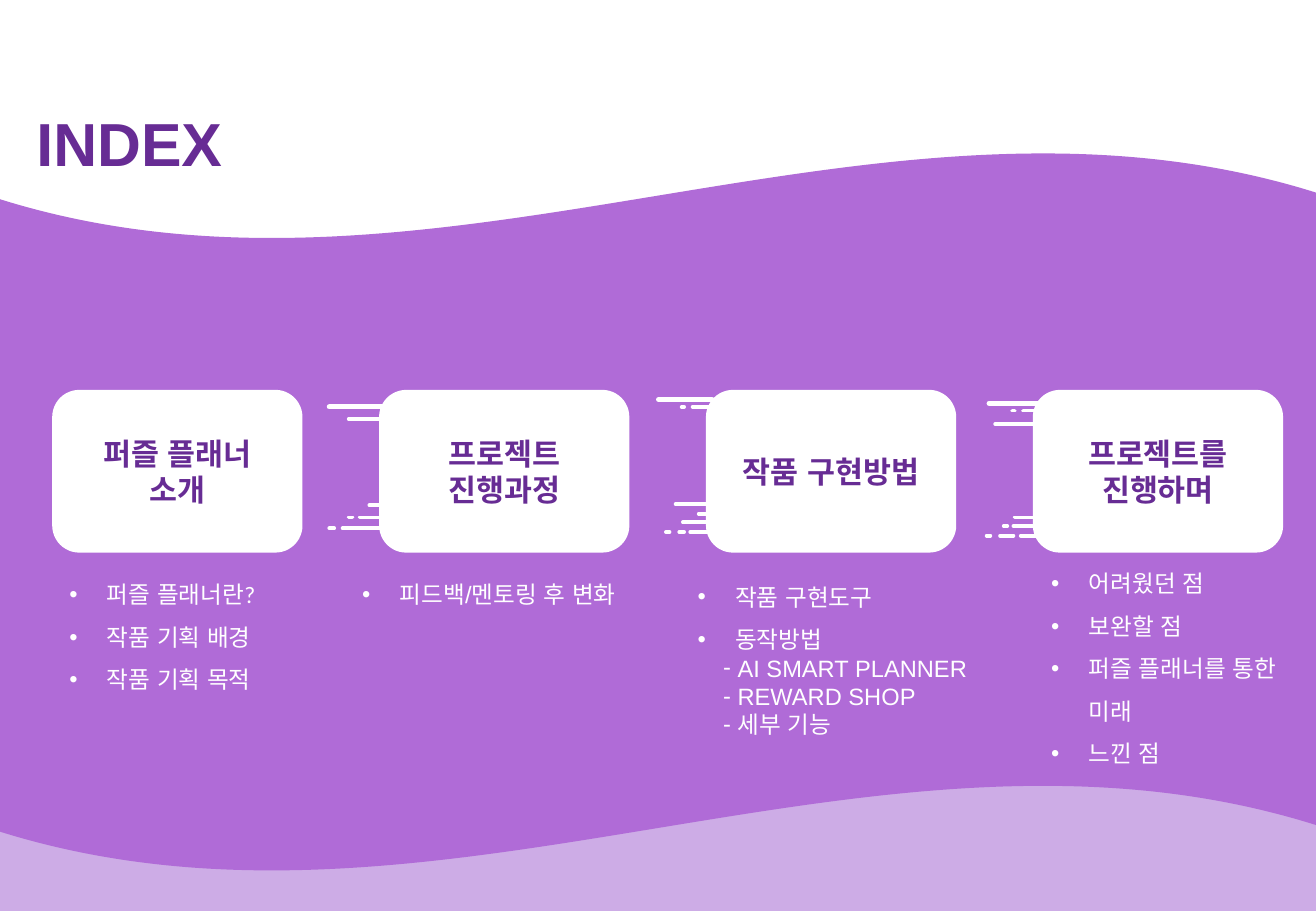
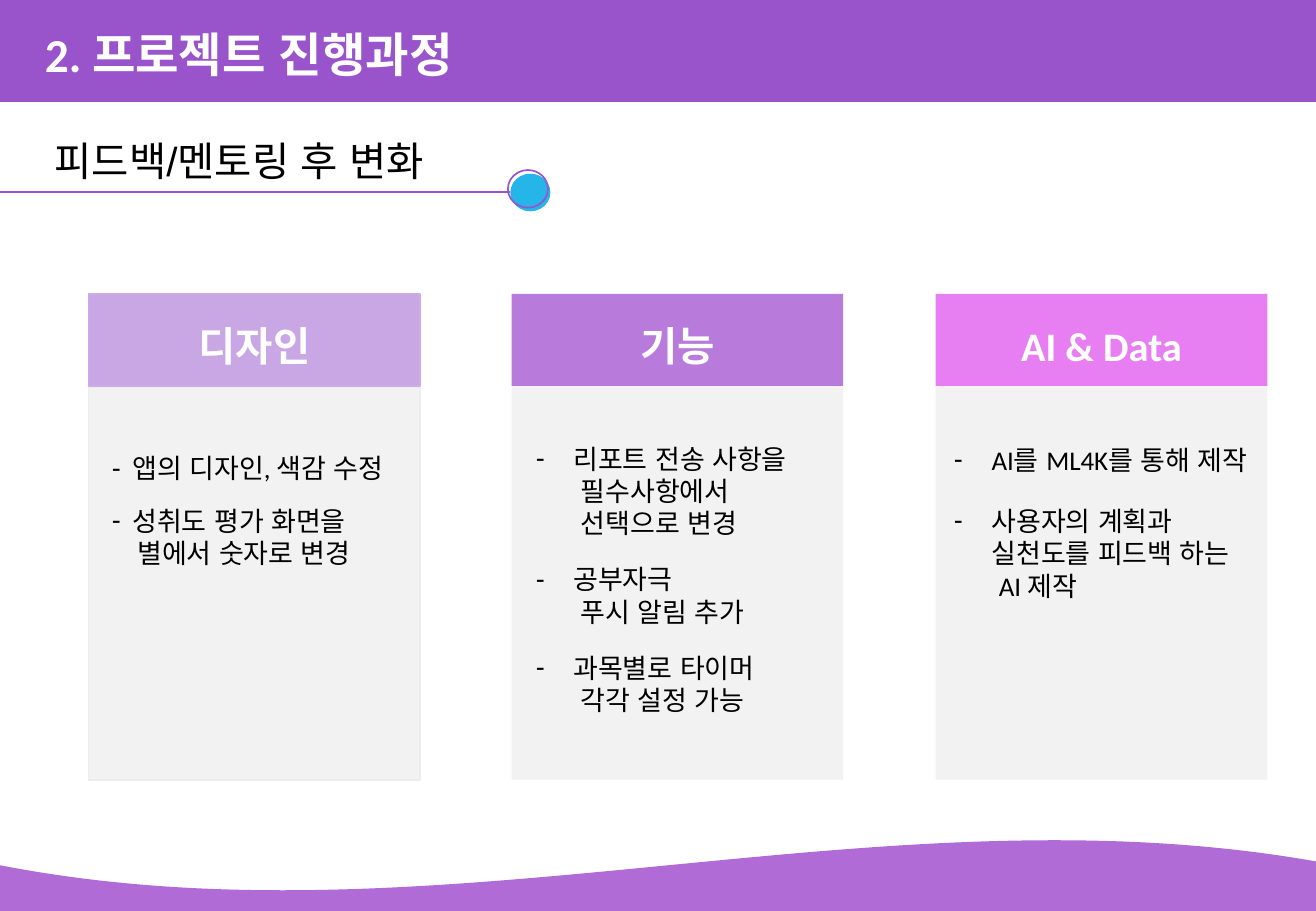
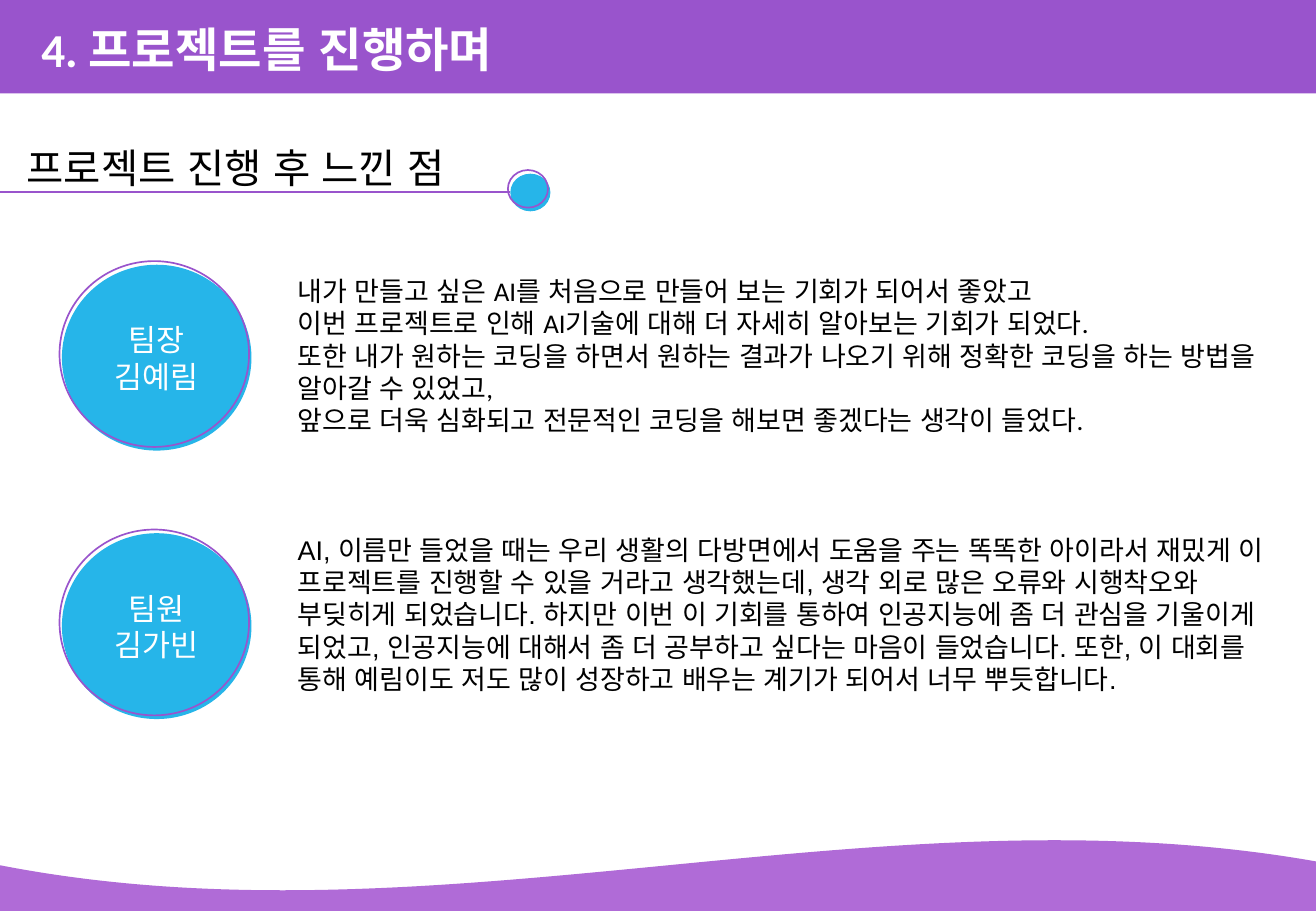
from pptx import Presentation
from pptx import util as u
from pptx.dml.color import RGBColor
from pptx.enum import lang, shapes, text
from pptx.oxml.ns import qn
from lxml import etree

PX = 9144  # 100 px to the inch
W, H = 1083, 750
COLORS = {
    "band": "9954CC", "wave": "B06BD7", "pale": "CDACE6", "ink": "672C94",
    "white": "FFFFFF", "black": "000000", "blue": "26B5E9",
    "panel": "F2F2F2", "edge": "EDEDED",
    "lilac": "C9A6E4", "violet": "B97BDB", "pink": "E77EF2",
}
# Paragraph kinds: bullet, left indent, hanging indent, line spacing
KINDS = {
    "plain": (None, 0, 0, 1), "point": ("•", 31, 31, 1.5),
    "sub": ("-", 33, 12, 1), "dash": ("-", 31, 31, 1),
    "more": (None, 37, 0, 1), "tight": ("-", 17, 17, 1),
    "tight more": (None, 21, 0, 1),
}
RECT = shapes.MSO_SHAPE.RECTANGLE
OVAL = shapes.MSO_SHAPE.OVAL


def rgb(name):
    return RGBColor.from_string(COLORS[name])


class Deck:
    def __init__(self):
        self.prs = Presentation()
        self.prs.slide_width, self.prs.slide_height = W * PX, H * PX

    def new_slide(self):
        self.s = self.prs.slides.add_slide(self.prs.slide_layouts[4])
        self.bodies = [sp for sp in self.s.placeholders
                       if sp.placeholder_format.idx]

    def drop_unused(self):
        for sp in self.bodies:
            sp.element.getparent().remove(sp.element)

    def shape(self, kind, box, fill=None, line=None):
        sp = self.s.shapes.add_shape(kind, *[v * PX for v in box])
        sp.shadow.inherit = False
        if fill:
            sp.fill.solid()
            sp.fill.fore_color.rgb = rgb(fill)
        else:
            sp.fill.background()
        if line:
            sp.line.color.rgb, sp.line.width = rgb(line), u.Pt(1)
        else:
            sp.line.fill.background()
        return sp

    def wave(self, box, bend):
        sp = self.shape(shapes.MSO_SHAPE.WAVE, box, "wave")
        sp.adjustments[0], sp.adjustments[1] = bend, 0
        sp.element.spPr.find(qn("a:xfrm")).set("flipH", "1")

    def line(self, x1, x2, y, color, width, cap="flat"):
        c = self.s.shapes.add_connector(
            shapes.MSO_CONNECTOR.STRAIGHT, x1 * PX, y * PX, x2 * PX, y * PX)
        c.line.color.rgb, c.line.width = rgb(color), u.Pt(width)
        c.element.spPr.find(qn("a:ln")).set("cap", cap)
        etree.SubElement(c.element.spPr, qn("a:effectLst"))

    def paragraphs(self, tf, items, size, color, font="Calibri", bold=False,
                   align=text.PP_ALIGN.LEFT, gap=0):
        """Fill a frame with (kind, text) items; gap precedes each bullet."""
        tf.word_wrap = True
        for i, (kind, words) in enumerate(items):
            p = tf.add_paragraph() if i else tf.paragraphs[0]
            bullet, left, hang, spacing = KINDS[kind]
            pPr = p._p.get_or_add_pPr()
            pPr.set("marL", str(left * PX))
            pPr.set("indent", str(-hang * PX))
            if bullet:
                etree.SubElement(pPr, qn("a:buFont")).set("typeface", "Arial")
                etree.SubElement(pPr, qn("a:buChar")).set("char", bullet)
            else:
                etree.SubElement(pPr, qn("a:buNone"))
            p.alignment, p.line_spacing = align, spacing
            p.space_before = u.Pt(gap if i and bullet else 0)
            p.space_after = u.Pt(0)
            r = p.add_run()
            r.text = words
            f = r.font
            f.name, f.size, f.bold = font, u.Pt(size), bold
            f.color.rgb = rgb(color)
            f.language_id = lang.MSO_LANGUAGE_ID.KOREAN

    def label(self, sp, lines, size, color, bold=False):
        sp.text_frame.vertical_anchor = text.MSO_ANCHOR.MIDDLE
        self.paragraphs(sp.text_frame, [("plain", t) for t in lines], size,
                        color, bold=bold, align=text.PP_ALIGN.CENTER)

    def place(self, sp, box, items, size, color, **style):
        sp.left, sp.top, sp.width, sp.height = [v * PX for v in box]
        sp.element.getparent().append(sp.element)  # bring to front
        tf = sp.text_frame
        tf.vertical_anchor = text.MSO_ANCHOR.TOP
        tf.auto_size = text.MSO_AUTO_SIZE.NONE
        self.paragraphs(tf, items, size, color, **style)

    def title(self, box, words, size, color, font="Calibri"):
        self.place(self.s.shapes.title, box, [("plain", words)], size, color,
                   font=font, bold=True)

    def body(self, box, items, size, color, **style):
        self.place(self.bodies.pop(0), box, items, size, color, **style)

    def disc(self, x, y, w, h):
        """Blue disc with a slightly offset ring."""
        sp = self.shape(OVAL, (x, y, w, h), "blue")
        self.shape(OVAL, (x - 2, y - 3, w, h), line="band")
        return sp

    def section(self, band_h, title, title_at, subtitle, subtitle_at):
        """Content slide with title band, underlined subtitle and wave."""
        self.new_slide()
        self.shape(RECT, (0, 0, W, band_h), "band")
        self.title((*title_at, 700, 57), title, 28, "white")
        self.body((*subtitle_at, 424, 50), [("plain", subtitle)], 24, "black",
                  font="Arial")
        self.line(0, 420, 158, "band", 1.5)
        self.disc(420, 143, 33, 31)
        self.wave((0, 691, 1100, 107), 0.2)


def index_slide(d):
    d.new_slide()
    d.shape(RECT, (0, 277, W, H - 277), "pale")
    d.wave((-9, 125, 1100, 593), 0.061)
    d.title((20, 82, 300, 71), "INDEX", 36, "ink", "Arial")

    # Cards, each with its list: heading, list box, font, items
    cards = [
        (["퍼즐 플래너 소개"], (47, 461, 200, 183), "Calibri",
         [("point", "퍼즐 플래너란?"), ("point", "작품 기획 배경"),
          ("point", "작품 기획 목적")]),
        (["프로젝트 진행과정"], (288, 461, 263, 41), "Arial",
         [("point", "피드백/멘토링 후 변화")]),
        (["작품 구현방법"], (564, 463, 256, 151), "Arial",
         [("point", "작품 구현도구"), ("point", "동작방법"),
          ("sub", "AI SMART PLANNER"), ("sub", "REWARD SHOP"),
          ("sub", "세부 기능")]),
        (["프로젝트를", "진행하며"], (855, 452, 213, 182), "Arial",
         [("point", "어려웠던 점"), ("point", "보완할 점"),
          ("point", "퍼즐 플래너를 통한 미래"), ("point", "느낀 점")]),
    ]
    for i, (heading, box, font, items) in enumerate(cards):
        sp = d.shape(shapes.MSO_SHAPE.ROUNDED_RECTANGLE,
                     (43 + 269 * i, 321, 206, 134), "white")
        d.label(sp, heading, 18, "ink", bold=True)
        d.body(box, items, 14, "white", font=font)

    # Speed lines left of the cards; the first of each group is thicker
    groups = [
        [(271, 315, 335), (287, 331, 345), (304, 331, 416), (296, 323, 426),
         (282, 331, 435), (271, 275, 435), (287, 290, 426)],
        [(542, 586, 329), (570, 614, 335), (575, 602, 423), (562, 589, 430),
         (568, 617, 438), (559, 563, 438), (548, 551, 438), (556, 590, 415),
         (561, 563, 335)],
        [(814, 858, 332), (842, 886, 338), (835, 874, 426), (834, 861, 433),
         (840, 889, 441), (826, 829, 433), (812, 815, 441), (819, 852, 349),
         (833, 835, 338), (823, 834, 441)],
    ]
    for group in groups:
        for i, (x1, x2, y) in enumerate(group):
            d.line(x1, x2, y, "white", 2.25 if i else 3, "rnd")
    d.drop_unused()


def progress_slide(d):
    d.section(84, "2. 프로젝트 진행과정", (27, 16),
              "피드백/멘토링 후 변화", (35, 107))
    # Columns: heading, colour, outlines, list box, gap, items
    columns = [
        ("디자인", "lilac", ("pale", "edge"), (82, 367, 262, 200), 12,
         [("tight", "앱의 디자인, 색감 수정"), ("tight", "성취도 평가 화면을"),
          ("tight more", "별에서 숫자로 변경")]),
        ("기능", "violet", (None, None), (431, 359, 254, 260), 14,
         [("dash", "리포트 전송 사항을"), ("more", "필수사항에서"),
          ("more", "선택으로 변경"), ("dash", "공부자극"),
          ("more", "푸시 알림 추가"), ("dash", "과목별로 타이머"),
          ("more", "각각 설정 가능")]),
        ("AI & Data", "pink", (None, None), (775, 360, 263, 200), 17,
         [("dash", "AI를 ML4K를 통해 제작"),
          ("dash", "사용자의 계획과 실천도를 피드백 하는"),
          ("more", "AI 제작")]),
    ]
    for i, (heading, fill, edges, box, gap, items) in enumerate(columns):
        x = 73 + round(348.5 * i)
        head = d.shape(RECT, (x, 242, 273, 76), fill, edges[0])
        head.text_frame.margin_top = 13 * PX
        d.label(head, [heading], 24, "white", bold=True)
        d.shape(RECT, (x, 319, 273, 323), "panel", edges[1])
        d.body(box, items, 16, "black", gap=gap)
    d.drop_unused()


def reflection_slide(d):
    d.section(77, "4. 프로젝트를 진행하며", (24, 12),
              "프로젝트 진행 후 느낀 점", (12, 113))
    # Members: role and name, font, paragraphs
    members = [
        (["팀장", "김예림"], "Calibri", [
            "내가 만들고 싶은 AI를 처음으로 만들어 보는 기회가 되어서 좋았고",
            "이번 프로젝트로 인해 AI기술에 대해 더 자세히 알아보는 기회가 되었다.",
            "또한 내가 원하는 코딩을 하면서 원하는 결과가 나오기 위해 정확한 "
            "코딩을 하는 방법을 알아갈 수 있었고,",
            "앞으로 더욱 심화되고 전문적인 코딩을 해보면 좋겠다는 생각이 들었다."]),
        (["팀원", "김가빈"], "Arial", [
            "AI, 이름만 들었을 때는 우리 생활의 다방면에서 도움을 주는 똑똑한 "
            "아이라서 재밌게 이 프로젝트를 진행할 수 있을 거라고 생각했는데, "
            "생각 외로 많은 오류와 시행착오와 부딪히게 되었습니다. 하지만 이번 "
            "이 기회를 통하여 인공지능에 좀 더 관심을 기울이게 되었고, "
            "인공지능에 대해서 좀 더 공부하고 싶다는 마음이 들었습니다. 또한, "
            "이 대회를 통해 예림이도 저도 많이 성장하고 배우는 계기가 되어서 "
            "너무 뿌듯합니다."]),
    ]
    for i, (name, font, lines) in enumerate(members):
        d.label(d.disc(51, 218 + 221 * i, 156, 153), name, 18, "white")
        d.body((235, 221 + 213 * i, 830, 150), [("plain", t) for t in lines],
               16, "black", font=font)
    d.drop_unused()


def main():
    d = Deck()
    index_slide(d)
    progress_slide(d)
    reflection_slide(d)
    d.prs.save("out.pptx")


if __name__ == "__main__":
    main()
